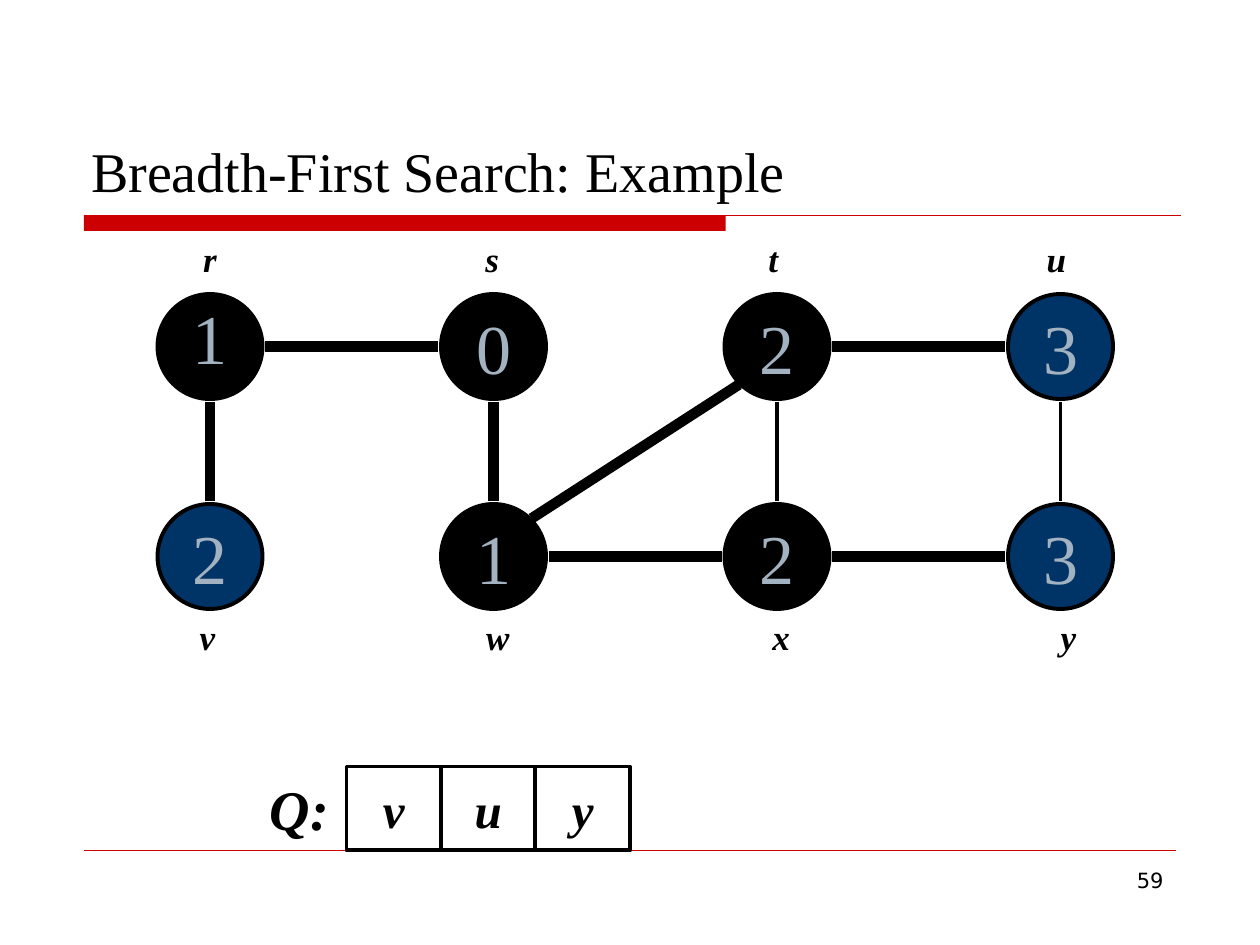
from dataclasses import dataclass

from lxml import etree
from pptx import Presentation
from pptx.dml.color import RGBColor
from pptx.enum.shapes import MSO_CONNECTOR, MSO_SHAPE
from pptx.enum.text import MSO_ANCHOR, PP_ALIGN
from pptx.oxml.ns import qn
from pptx.util import Emu, Pt

BLACK = RGBColor(0x00, 0x00, 0x00)
RED = RGBColor(0xCC, 0x00, 0x00)
NAVY = RGBColor(0x00, 0x33, 0x66)
GREY = RGBColor(0xA3, 0xB2, 0xC1)

SERIF, SANS = "Times New Roman", "DejaVu Sans"
OVAL, RECT = MSO_SHAPE.OVAL, MSO_SHAPE.RECTANGLE
STRAIGHT = MSO_CONNECTOR.STRAIGHT
TOP, MIDDLE, BOTTOM = MSO_ANCHOR.TOP, MSO_ANCHOR.MIDDLE, MSO_ANCHOR.BOTTOM
LEFT, CENTER, RIGHT = PP_ALIGN.LEFT, PP_ALIGN.CENTER, PP_ALIGN.RIGHT

EMU_PER_PX = 9525  # 96 px to the inch
COL_X, COL_PITCH = 160, 216  # node centres
ROW_Y = (264, 424)
LABEL_Y = (176, 464)
NODE_SIZE = 80
EDGE_TRIM = 42  # from a node centre to the end of a straight edge
DIAGONAL_TRIM = 29  # the same on each axis of a diagonal edge
QUEUE_Y, CELL_W, CELL_H = 584, 72, 64
THIN, THICK = 2.25, 6


@dataclass(frozen=True)
class Node:
    name: str
    distance: str
    col: int
    row: int
    fill: RGBColor = BLACK
    label_dx: int = 0
    line_spacing: float = 1.0

    @property
    def center(self) -> tuple[int, int]:
        return COL_X + self.col * COL_PITCH, ROW_Y[self.row]


@dataclass(frozen=True)
class Edge:
    start: str
    end: str
    weight: float = THICK


@dataclass(frozen=True)
class TextStyle:
    size: int
    font: str = SERIF
    color: RGBColor = BLACK
    strong: bool = False  # bold italic
    align: PP_ALIGN = CENTER
    anchor: MSO_ANCHOR = MIDDLE
    wrap: bool = False


TITLE = TextStyle(32, align=LEFT, anchor=BOTTOM, wrap=True)
PAGE_NUMBER = TextStyle(12, SANS, align=RIGHT, anchor=TOP, wrap=True)
DISTANCE = TextStyle(40, color=GREY)
LABEL = TextStyle(20, strong=True, anchor=TOP)
QUEUE_NAME = TextStyle(32, strong=True)
QUEUE_ITEM = TextStyle(28, strong=True)

NODES = [
    Node("r", "1", 0, 0, line_spacing=0.7),
    Node("v", "2", 0, 1, NAVY, -2),
    Node("s", "0", 1, 0, label_dx=-1),
    Node("w", "1", 1, 1, label_dx=1),
    Node("t", "2", 2, 0, label_dx=-3),
    Node("x", "2", 2, 1, label_dx=3),
    Node("u", "3", 3, 0, NAVY, -4),
    Node("y", "3", 3, 1, NAVY, 6),
]
EDGES = [
    Edge("v", "r"),
    Edge("r", "s"),
    Edge("s", "w"),
    Edge("w", "t"),
    Edge("w", "x"),
    Edge("x", "t", THIN),
    Edge("t", "u"),
    Edge("x", "y"),
    Edge("y", "u", THIN),
]
QUEUE = "vuy"


def px(n: int) -> Emu:
    return Emu(n * EMU_PER_PX)


def write(sp, text: str, style: TextStyle, line_spacing: float = 1.0) -> None:
    tf = sp.text_frame
    tf.word_wrap = style.wrap
    tf.vertical_anchor = style.anchor
    p = tf.paragraphs[0]
    p.text = text
    p.alignment = style.align
    p.line_spacing = line_spacing
    p.font.name = style.font
    p.font.size = Pt(style.size)
    p.font.bold = p.font.italic = style.strong
    p.font.color.rgb = style.color


def add_text(slide, x: int, y: int, w: int, h: int, text: str, style: TextStyle) -> None:
    write(slide.shapes.add_textbox(px(x), px(y), px(w), px(h)), text, style)


def add_box(slide, kind, x: int, y: int, w: int, h: int,
            fill: RGBColor | None, line: RGBColor | None = BLACK):
    """Add a flat shape; None leaves out the fill or the line."""
    sp = slide.shapes.add_shape(kind, px(x), px(y), px(w), px(h))
    sp.shadow.inherit = False
    if fill is None:
        sp.fill.background()
    else:
        sp.fill.solid()
        sp.fill.fore_color.rgb = fill
    if line is None:
        sp.line.fill.background()
    else:
        sp.line.color.rgb = line
        sp.line.width = Pt(THIN)
    return sp


def add_line(slide, x1: int, y1: int, x2: int, y2: int, color: RGBColor, weight: float) -> None:
    line = slide.shapes.add_connector(STRAIGHT, px(x1), px(y1), px(x2), px(y2))
    line.line.color.rgb = color
    line.line.width = Pt(weight)
    etree.SubElement(line._element.spPr, qn("a:effectLst"))


def add_node(slide, node: Node) -> None:
    x, y = node.center
    half = NODE_SIZE // 2
    sp = add_box(slide, OVAL, x - half, y - half, NODE_SIZE, NODE_SIZE, node.fill)
    write(sp, node.distance, DISTANCE, node.line_spacing)
    add_text(slide, x + node.label_dx - 16, LABEL_Y[node.row], 32, 42, node.name, LABEL)


def add_edge(slide, start: Node, end: Node, weight: float) -> None:
    (x1, y1), (x2, y2) = start.center, end.center
    sx = (x2 > x1) - (x2 < x1)
    sy = (y2 > y1) - (y2 < y1)
    trim = DIAGONAL_TRIM if sx and sy else EDGE_TRIM
    add_line(slide, x1 + sx * trim, y1 + sy * trim,
             x2 - sx * trim, y2 - sy * trim, BLACK, weight)


def main() -> None:
    prs = Presentation()
    prs.slide_width, prs.slide_height = px(960), px(720)
    slide = prs.slides.add_slide(prs.slide_layouts[6])

    add_box(slide, RECT, 64, 164, 489, 12, RED, None)
    add_line(slide, 64, 164, 900, 164, RED, 0.75)
    add_line(slide, 64, 648, 896, 648, RED, 0.25)
    add_text(slide, 688, 656, 208, 50, "59", PAGE_NUMBER)
    add_text(slide, 60, 32, 840, 128, "Breadth-First Search: Example", TITLE)

    for node in NODES:
        add_node(slide, node)
    by_name = {node.name: node for node in NODES}
    for edge in EDGES:
        add_edge(slide, by_name[edge.start], by_name[edge.end], edge.weight)

    add_text(slide, 192, QUEUE_Y, CELL_W, CELL_H, "Q:", QUEUE_NAME)
    for i, name in enumerate(QUEUE):
        cell = add_box(slide, RECT, 264 + i * CELL_W, QUEUE_Y, CELL_W, CELL_H, None)
        write(cell, name, QUEUE_ITEM)

    prs.save("out.pptx")


if __name__ == "__main__":
    main()
